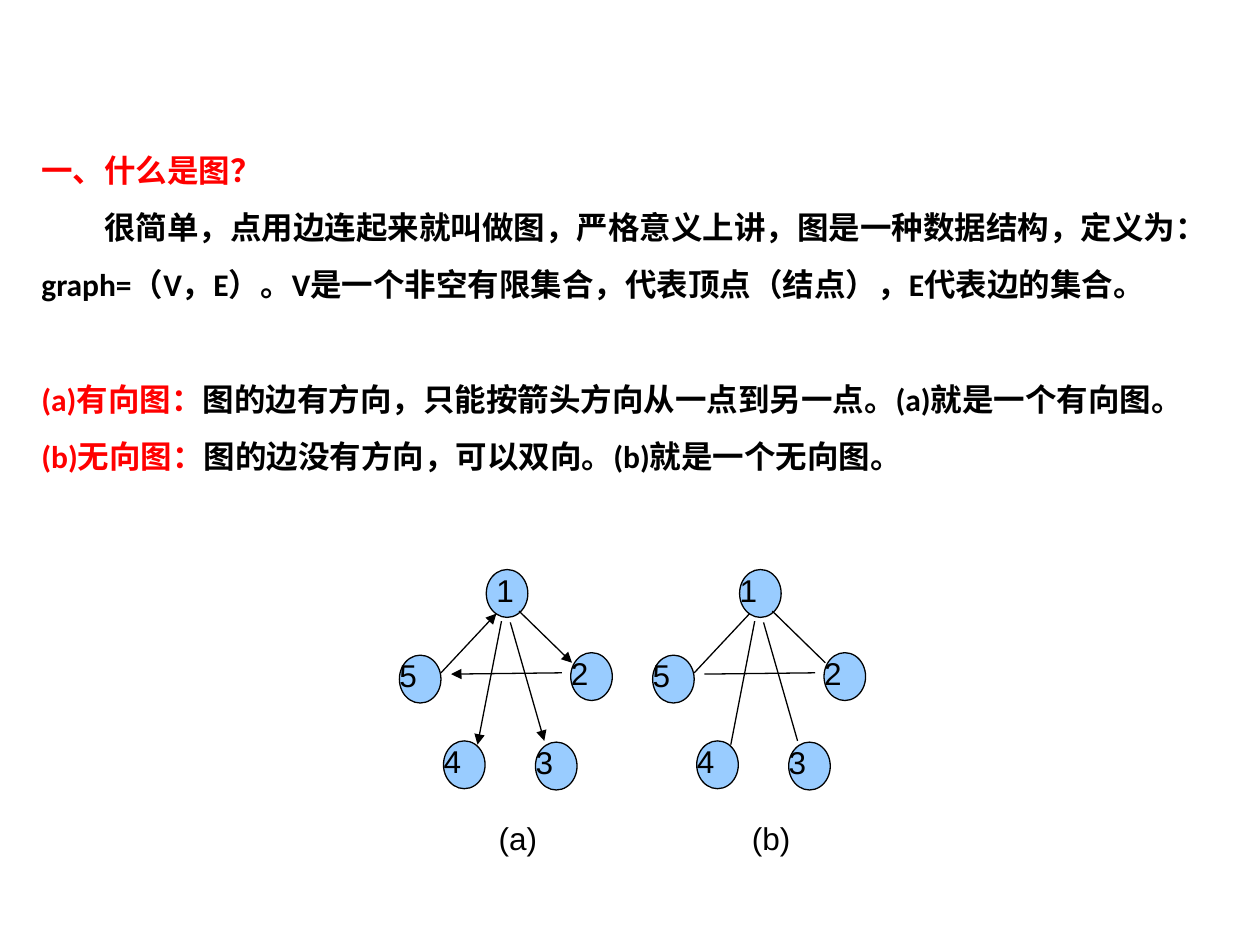
import pptx
import pptx.util
import pptx.dml.color
import pptx.enum.shapes
import pptx.enum.text
import pptx.oxml.ns
import lxml.etree

Inches = pptx.util.Inches
Pt = pptx.util.Pt
RED, BLACK, NODE_BLUE = "FF0000", "000000", "99CCFF"


def color(value):
    return pptx.dml.color.RGBColor.from_string(value)


def add_run(paragraph, text, font_name, hue, bold=False):
    run = paragraph.add_run()
    run.text = text
    run.font.name = font_name
    run.font.size = Pt(18)
    run.font.bold = bold
    run.font.color.rgb = color(hue)


deck = pptx.Presentation()
deck.slide_width, deck.slide_height = Inches(10), Inches(7.5)
slide = deck.slides.add_slide(deck.slide_layouts[6])

# Explanations: (left, top, width, paragraphs of (line spacing, indent, runs))
explanations = [
    (0.23, 1.15, 9.54, [
        (1, 0, [("一、什么是图？", RED)]),
        (1.5, 0.5, [("很简单，点用边连起来就叫做图，严格意义上讲，图是一种数据结构，定义为：graph=（V，E）。"
                     "V是一个非空有限集合，代表顶点（结点），E代表边的集合。", BLACK)]),
    ]),
    (0.23, 2.82, 9.35, [
        (1.5, 0, [("(a)有向图：", RED),
                  ("图的边有方向，只能按箭头方向从一点到另一点。(a)就是一个有向图。", BLACK)]),
        (1.5, 0, [("(b)无向图：", RED),
                  ("图的边没有方向，可以双向。(b)就是一个无向图。", BLACK)]),
    ]),
]
for left, top, width, paragraphs in explanations:
    explanation = slide.shapes.add_textbox(Inches(left), Inches(top), Inches(width), Inches(1.31)).text_frame
    explanation.word_wrap = True
    explanation.auto_size = pptx.enum.text.MSO_AUTO_SIZE.SHAPE_TO_FIT_TEXT
    for index, (spacing, indent, runs) in enumerate(paragraphs):
        paragraph = explanation.add_paragraph() if index else explanation.paragraphs[0]
        paragraph.line_spacing = spacing
        if indent:
            paragraph_properties = paragraph._p.get_or_add_pPr()
            paragraph_properties.set("marL", "0")
            paragraph_properties.set("indent", str(Inches(indent)))
        for text, hue in runs:
            add_run(paragraph, text, "Calibri", hue, bold=True)

# Vertices and edges, measured from the left of graph (a)
vertices = {"1": (0.69, 4.52), "2": (1.36, 5.18), "3": (1.08, 5.89),
            "4": (0.35, 5.88), "5": (0, 5.20)}
edges = [
    (0.33, 5.34, 0.77, 4.87),  # 5 to 1
    (0.95, 4.85, 1.37, 5.26),  # 1 to 2
    (1.29, 5.34, 0.41, 5.35),  # 2 to 5
    (0.81, 4.93, 0.62, 5.91),  # 1 to 4
    (0.88, 4.94, 1.15, 5.88),  # 1 to 3
]

# Directed graph (a) and undirected graph (b)
for caption, graph_left, directed in [("(a)", 3.17, True), ("(b)", 5.18, False)]:
    graph = slide.shapes.add_group_shape().shapes
    labels = []
    for number, (x, y) in vertices.items():
        vertex = graph.add_shape(pptx.enum.shapes.MSO_SHAPE.OVAL, Inches(graph_left + x), Inches(y),
                                 Inches(0.33), Inches(0.38))
        vertex.shadow.inherit = False
        vertex.fill.solid()
        vertex.fill.fore_color.rgb = color(NODE_BLUE)
        vertex.line.color.rgb = color(BLACK)
        vertex.line.width = Pt(0.75)
        # The first number of the directed graph sits nearer its centre
        shift = 0.08 if directed and number == "1" else 0
        labels.append((number, x + shift, y + 0.01, 0.25, 0.31, pptx.enum.text.PP_ALIGN.LEFT))
    labels.append((caption, 0.44, 6.5, 1, 0.33, pptx.enum.text.PP_ALIGN.CENTER))

    for start_x, start_y, end_x, end_y in edges:
        edge = graph.add_connector(pptx.enum.shapes.MSO_CONNECTOR.STRAIGHT,
                                   Inches(graph_left + start_x), Inches(start_y),
                                   Inches(graph_left + end_x), Inches(end_y))
        edge.line.color.rgb = color(BLACK)
        edge.line.width = Pt(0.75)
        if directed:
            arrowhead = lxml.etree.SubElement(edge.line._get_or_add_ln(), pptx.oxml.ns.qn("a:tailEnd"))
            arrowhead.set("type", "triangle")
        lxml.etree.SubElement(edge._element.spPr, pptx.oxml.ns.qn("a:effectLst"))

    # Vertex numbers and caption
    for text, x, y, width, height, alignment in labels:
        label = graph.add_textbox(Inches(graph_left + x), Inches(y), Inches(width), Inches(height)).text_frame
        label.margin_left = label.margin_right = label.margin_top = label.margin_bottom = 0
        label.word_wrap = True
        label.paragraphs[0].alignment = alignment
        add_run(label.paragraphs[0], text, "Arial", BLACK)

deck.save("out.pptx")
